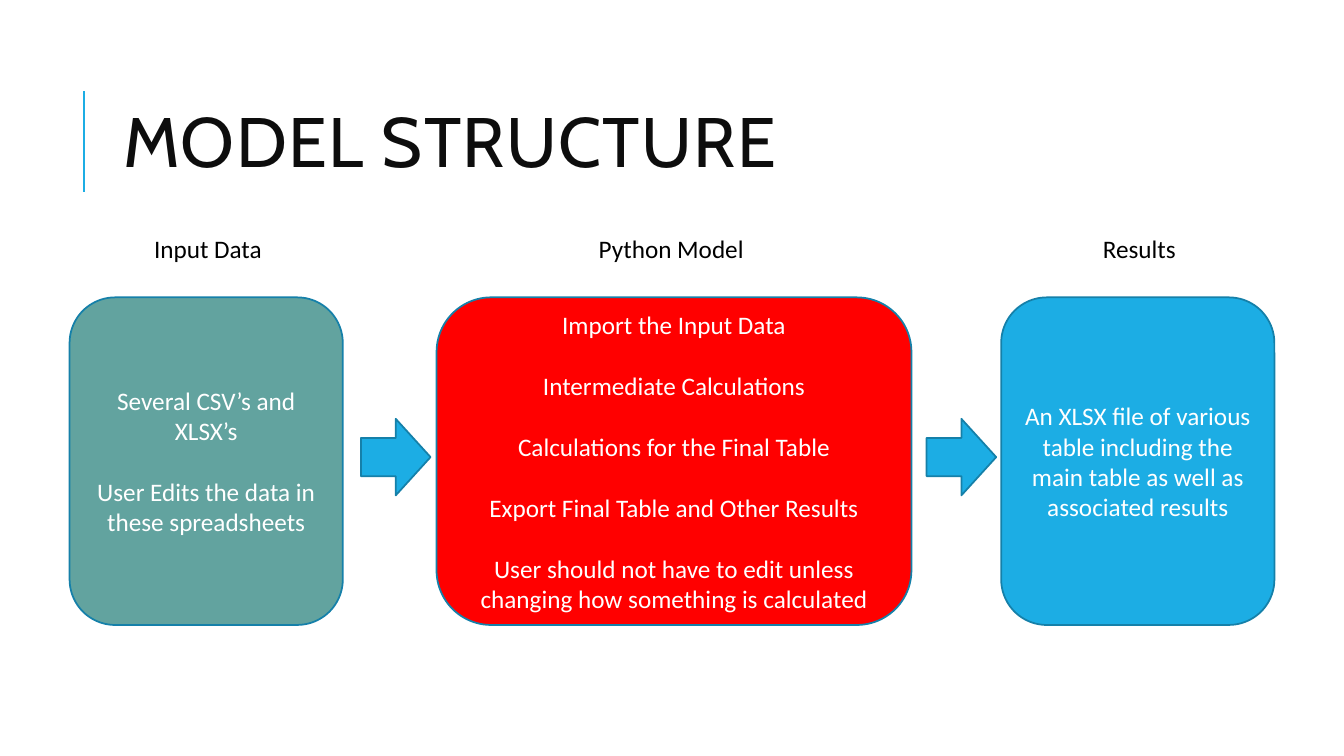
from lxml import etree
from pptx import Presentation
from pptx.dml.color import RGBColor
from pptx.enum.shapes import MSO_CONNECTOR, MSO_SHAPE
from pptx.enum.text import MSO_ANCHOR, MSO_AUTO_SIZE, PP_ALIGN
from pptx.oxml.ns import qn
from pptx.util import Inches, Pt

COLORS = {
    "title": "0D0D0D", "label": "000000", "white": "FFFFFF",
    "blue": "1CADE4", "outline": "1580A9", "teal": "62A39F", "red": "FF0000",
}
TITLE = "MODEL STRUCTURE"

# Stage: label, label left, label width, box left, box width, fill, paragraphs
STAGES = [
    ("Input Data", 1.43, 2.96, 0.69, 2.71, "teal", [
        "Several CSV’s and XLSX’s",
        "User Edits the data in these spreadsheets",
    ]),
    ("Python Model", 5.84, 1.66, 4.33, 4.71, "red", [
        "Import the Input Data",
        "Intermediate Calculations",
        "Calculations for the Final Table",
        "Export Final Table and Other Results",
        "User should not have to edit unless changing how something is calculated",
    ]),
    ("Results", 10.84, 1.66, 9.93, 2.71, "blue", [
        "An XLSX file of various table including the main table as well as "
        "associated results",
    ]),
]
LABEL_TOP, LABEL_HEIGHT = 2.27, 0.4
BOX_TOP, BOX_HEIGHT = 2.95, 3.25
ARROW_LEFTS = [3.58, 9.19]
ARROW_WIDTH, ARROW_HEIGHT = 0.69, 0.76
PARA_GAP = Pt(22)


def color(name):
    return RGBColor.from_string(COLORS[name])


def style(para, font_name, size, color_name):
    para.font.name = font_name
    para.font.size = Pt(size)
    para.font.color.rgb = color(color_name)


def add_block(kind, left, top, width, height, fill):
    block = page.shapes.add_shape(
        kind, Inches(left), Inches(top), Inches(width), Inches(height))
    block.shadow.inherit = False
    block.fill.solid()
    block.fill.fore_color.rgb = color(fill)
    block.line.color.rgb = color("outline")
    block.line.width = Pt(1.25)
    return block


deck = Presentation()
deck.slide_width, deck.slide_height = Inches(13.33), Inches(7.5)
page = deck.slides.add_slide(deck.slide_layouts[5])

# Title and its accent rule
rule = page.shapes.add_connector(
    MSO_CONNECTOR.STRAIGHT, Inches(0.83), Inches(1.9), Inches(0.83), Inches(0.9))
rule.line.color.rgb = color("blue")
rule.line.width = Pt(1.5)
etree.SubElement(rule._element.spPr, qn("a:effectLst"))

title = page.shapes.title
title.left, title.top = Inches(1.12), Inches(0.64)
title.width, title.height = Inches(10.63), Inches(1.64)
frame = title.text_frame
frame.text = TITLE
frame.auto_size = MSO_AUTO_SIZE.NONE
frame.vertical_anchor = MSO_ANCHOR.MIDDLE
para = frame.paragraphs[0]
para.alignment = PP_ALIGN.LEFT
para.line_spacing = 0.8
style(para, "Cabin", 50, "title")
para.runs[0].font._element.set("spc", "100")

# Stages: a label above a rounded box
for label, label_left, label_width, left, width, fill, lines in STAGES:
    caption = page.shapes.add_textbox(
        Inches(label_left), Inches(LABEL_TOP),
        Inches(label_width), Inches(LABEL_HEIGHT))
    caption.text_frame.word_wrap = True
    caption.text_frame.text = label
    style(caption.text_frame.paragraphs[0], "Calibri", 18, "label")

    box = add_block(MSO_SHAPE.ROUNDED_RECTANGLE,
                    left, BOX_TOP, width, BOX_HEIGHT, fill)
    frame = box.text_frame
    frame.word_wrap = True
    frame.vertical_anchor = MSO_ANCHOR.MIDDLE
    frame.text = "\n".join(lines)
    for index, para in enumerate(frame.paragraphs):
        para.alignment = PP_ALIGN.CENTER
        if index:
            para.space_before = PARA_GAP
        style(para, "Calibri", 18, "white")

# Arrows between the stages, centred on the boxes
arrow_top = BOX_TOP + (BOX_HEIGHT - ARROW_HEIGHT) / 2 - 0.04
for left in ARROW_LEFTS:
    add_block(MSO_SHAPE.RIGHT_ARROW,
              left, arrow_top, ARROW_WIDTH, ARROW_HEIGHT, "blue")

deck.save("out.pptx")
